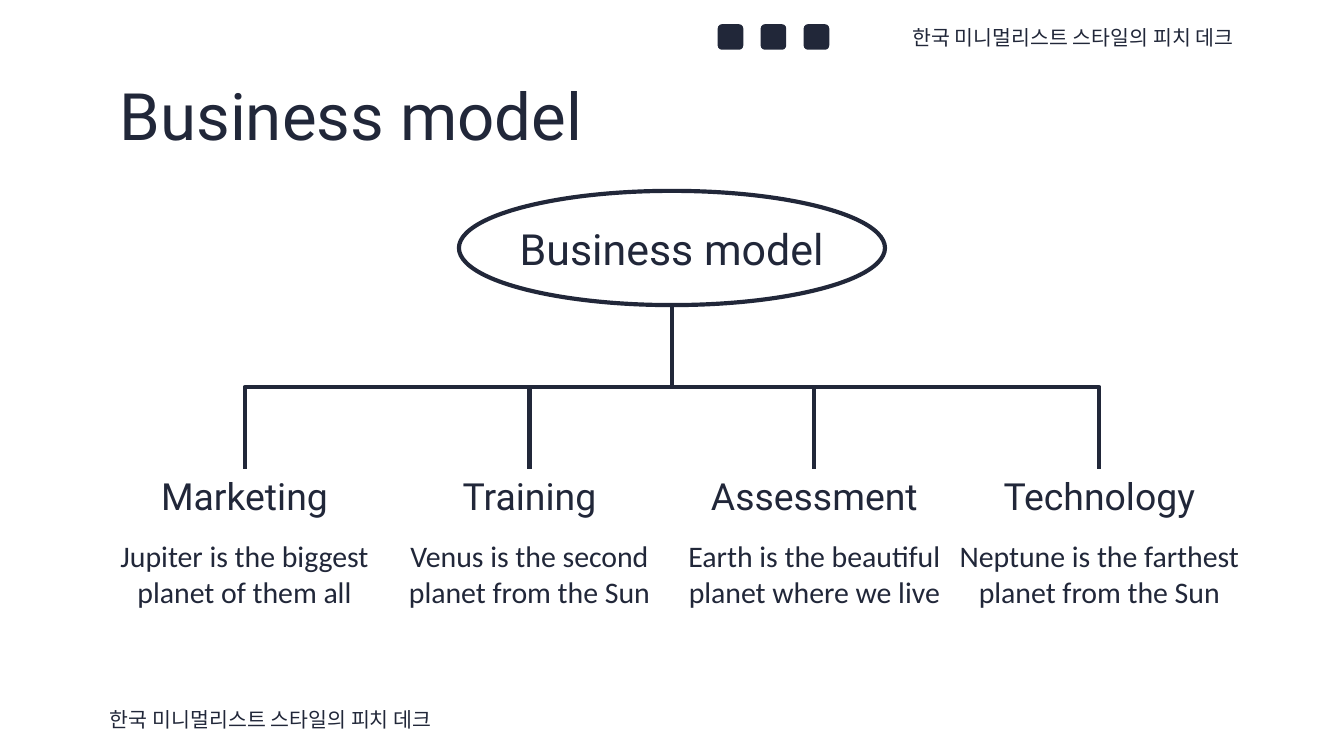
from dataclasses import dataclass

from lxml import etree
from pptx import Presentation
from pptx.dml.color import RGBColor
from pptx.enum.shapes import MSO_CONNECTOR, MSO_SHAPE
from pptx.enum.text import MSO_ANCHOR, MSO_AUTO_SIZE, PP_ALIGN
from pptx.oxml.ns import qn
from pptx.util import Inches, Pt

ELBOW = MSO_CONNECTOR.ELBOW
OVAL, ROUNDED = MSO_SHAPE.OVAL, MSO_SHAPE.ROUNDED_RECTANGLE
LEFT, CENTER, RIGHT = PP_ALIGN.LEFT, PP_ALIGN.CENTER, PP_ALIGN.RIGHT
TOP, MIDDLE = MSO_ANCHOR.TOP, MSO_ANCHOR.MIDDLE


@dataclass(frozen=True)
class Theme:
    ink: RGBColor = RGBColor(0x21, 0x27, 0x39)
    line_width: float = 2.25
    # Each text style is a font name and a size in points
    title: tuple = ("Roboto", 35)
    root: tuple = ("Roboto", 23)
    heading: tuple = ("Roboto", 20)
    body: tuple = ("Calibri", 16)
    caption: tuple = ("League Spartan", 11)


THEME = Theme()

TITLE = "Business model"
DECK_NAME = "한국 미니멀리스트 스타일의 피치 데크"
BRANCHES = [
    ("Marketing", "Jupiter is the biggest planet of them all"),
    ("Training", "Venus is the second planet from the Sun"),
    ("Assessment", "Earth is the beautiful planet where we live"),
    ("Technology", "Neptune is the farthest planet from the Sun"),
]

SLIDE_WIDTH = 10
SLIDE_HEIGHT = SLIDE_WIDTH * 9 / 16
CENTER_X = SLIDE_WIDTH / 2
COLUMN_WIDTH, COLUMN_PITCH = 2.09, 2.12
HEADING_TOP, HEADING_HEIGHT = 3.49, 0.4
BODY_TOP, BODY_HEIGHT = 3.9, 0.66
ROOT_WIDTH, ROOT_TOP, ROOT_HEIGHT = 3.17, 1.42, 0.85
CAPTION_WIDTH, CAPTION_HEIGHT = 2.93, 0.32
ICON_COUNT, ICON_LEFT, ICON_TOP, ICON_SIZE, ICON_PITCH = 3, 5.34, 0.18, 0.19, 0.32


def inches(*lengths):
    return [Inches(length) for length in lengths]


def write_text(shape, text, style, align=LEFT, anchor=MIDDLE, side_inset=0.1):
    frame = shape.text_frame
    frame.text = text
    frame.word_wrap = True
    frame.auto_size = MSO_AUTO_SIZE.NONE
    frame.vertical_anchor = anchor
    frame.margin_left = frame.margin_right = Inches(side_inset)
    frame.margin_top = frame.margin_bottom = Inches(0.1)
    paragraph = frame.paragraphs[0]
    paragraph.alignment = align
    font = paragraph.runs[0].font
    font.name, font.size = style[0], Pt(style[1])
    font.color.rgb = THEME.ink


def add_text(slide, box, text, style, **options):
    write_text(slide.shapes.add_textbox(*inches(*box)), text, style, **options)


def add_branch_line(slide, start, end):
    """Draw a down-across-down elbow: a sideways elbow turned by 90 degrees."""
    middle_x, middle_y = (start[0] + end[0]) / 2, (start[1] + end[1]) / 2
    half_across, half_down = (end[0] - start[0]) / 2, (end[1] - start[1]) / 2
    connector = slide.shapes.add_connector(ELBOW, *inches(
        middle_x - half_down, middle_y + half_across,
        middle_x + half_down, middle_y - half_across))
    connector.line.color.rgb = THEME.ink
    connector.line.width = Pt(THEME.line_width)
    properties = connector._element.spPr
    properties.get_or_add_xfrm().set("rot", str(90 * 60000))
    etree.SubElement(properties, qn("a:effectLst"))


def add_root(slide):
    left = CENTER_X - ROOT_WIDTH / 2
    oval = slide.shapes.add_shape(
        OVAL, *inches(left, ROOT_TOP, ROOT_WIDTH, ROOT_HEIGHT))
    oval.shadow.inherit = False
    oval.fill.background()
    oval.line.color.rgb = THEME.ink
    oval.line.width = Pt(THEME.line_width)
    label_top = ROOT_TOP + (ROOT_HEIGHT - HEADING_HEIGHT) / 2
    add_text(slide, (left, label_top, ROOT_WIDTH, HEADING_HEIGHT),
             TITLE, THEME.root, align=CENTER)


def add_branches(slide):
    for index, (heading, body) in enumerate(BRANCHES):
        middle = CENTER_X + (index - (len(BRANCHES) - 1) / 2) * COLUMN_PITCH
        left = middle - COLUMN_WIDTH / 2
        add_branch_line(slide, (CENTER_X, ROOT_TOP + ROOT_HEIGHT),
                        (middle, HEADING_TOP))
        add_text(slide, (left, HEADING_TOP, COLUMN_WIDTH, HEADING_HEIGHT),
                 heading, THEME.heading, align=CENTER)
        add_text(slide, (left, BODY_TOP, COLUMN_WIDTH, BODY_HEIGHT),
                 body, THEME.body, align=CENTER, anchor=TOP, side_inset=0)


def add_icons(slide):
    for index in range(ICON_COUNT):
        icon = slide.shapes.add_shape(ROUNDED, *inches(
            ICON_LEFT + index * ICON_PITCH, ICON_TOP, ICON_SIZE, ICON_SIZE))
        icon.shadow.inherit = False
        icon.fill.solid()
        icon.fill.fore_color.rgb = THEME.ink
        icon.line.fill.background()


def main():
    presentation = Presentation()
    presentation.slide_width, presentation.slide_height = inches(
        SLIDE_WIDTH, SLIDE_HEIGHT)
    title_only = presentation.slide_layouts.get_by_name("Title Only")
    slide = presentation.slides.add_slide(title_only)

    title = slide.shapes.title
    title.left, title.top, title.width, title.height = inches(
        0.79, 0.59, 8.43, 0.52)
    write_text(title, TITLE, THEME.title)

    add_root(slide)
    add_branches(slide)
    add_icons(slide)
    for left, top, align in [(6.35, 0.12, RIGHT), (0.72, 5.19, LEFT)]:
        add_text(slide, (left, top, CAPTION_WIDTH, CAPTION_HEIGHT),
                 DECK_NAME, THEME.caption, align=align)

    presentation.save("out.pptx")


if __name__ == "__main__":
    main()
